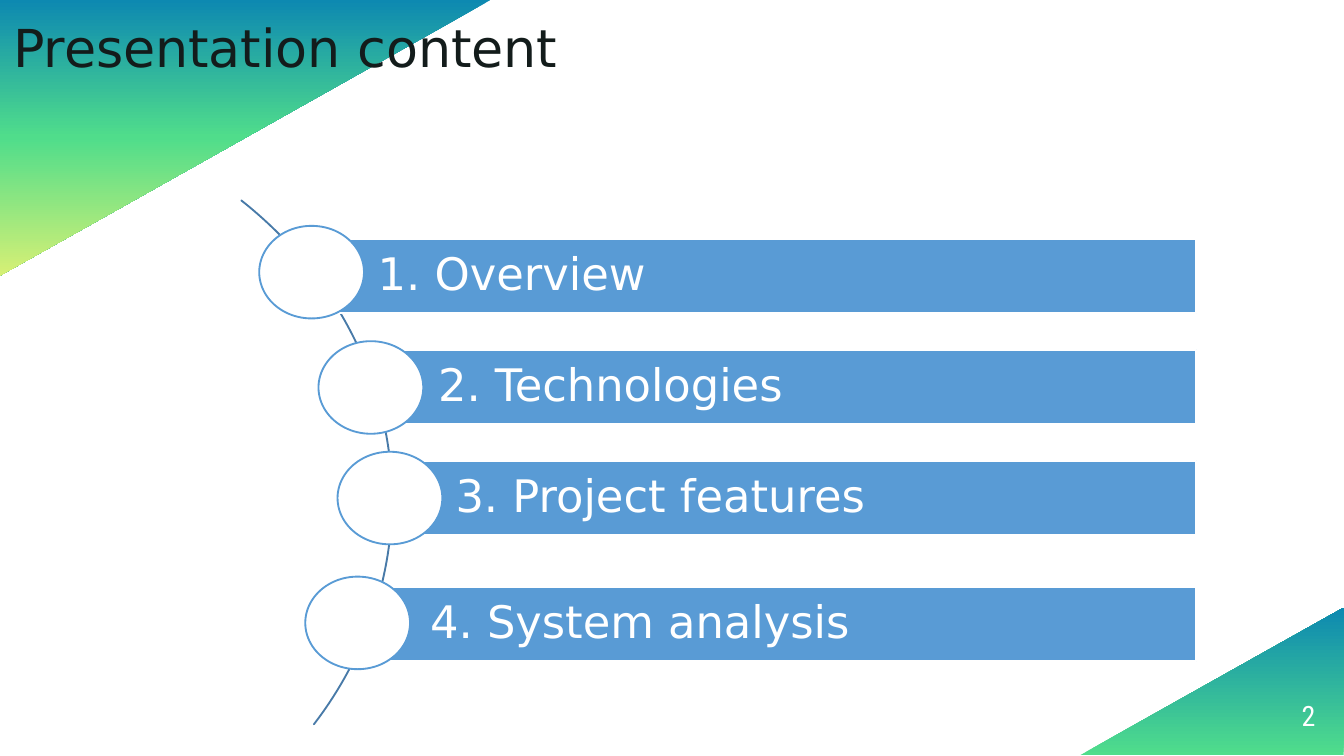
from copy import deepcopy

from pptx import Presentation
from pptx.dml.color import RGBColor
from pptx.enum.shapes import MSO_SHAPE as SHAPE
from pptx.enum.text import MSO_ANCHOR as ANCHOR, PP_ALIGN as ALIGN
from pptx.util import Cm, Pt

WHITE, BAR, ARC, INK = "FFFFFF", "599BD5", "487AA8", "131C1B"
BLUE, GREEN, LIME = "0D89B1", "50DD8B", "D6F075"


def rgb(value):
    return RGBColor.from_string(value)


def write(sp, text, size=24, font="DejaVu Sans", color=WHITE,
          align=ALIGN.LEFT, spacing=0.9, insets=(0, 0, 0, 0)):
    tf = sp.text_frame
    tf.word_wrap = True
    tf.vertical_anchor = ANCHOR.MIDDLE
    tf.margin_left, tf.margin_top, tf.margin_right, tf.margin_bottom = map(Cm, insets)
    p = tf.paragraphs[0]
    p.alignment = align
    p.line_spacing = spacing
    r = p.add_run()
    r.text = text
    r.font.size = Pt(size)
    r.font.name = font
    r.font.color.rgb = rgb(color)


class Deck:
    """Holds the presentation, its style and the current slide."""

    line_width = Pt(1)

    def __init__(self, width, height):
        self.prs = Presentation()
        self.prs.slide_width, self.prs.slide_height = Cm(width), Cm(height)
        self.s = self.prs.slides.add_slide(self.prs.slide_layouts[6])

    def shape(self, kind, box, fill=None, line=None):
        sp = self.s.shapes.add_shape(kind, *map(Cm, box))
        sp.shadow.inherit = False
        if fill:
            sp.fill.solid()
            sp.fill.fore_color.rgb = rgb(fill)
        else:
            sp.fill.background()
        if line:
            sp.line.color.rgb = rgb(line)
            sp.line.width = self.line_width
        else:
            sp.line.fill.background()
        return sp

    def corner(self, box, rotation, colors):
        """Right triangle with evenly spaced gradient stops."""
        sp = self.shape(SHAPE.RIGHT_TRIANGLE, box)
        sp.rotation = rotation
        sp.fill.gradient()
        sp.fill.gradient_angle = 0
        stops = sp.fill.gradient_stops
        stop_list = sp.fill._fill._gradFill.gsLst
        for _ in colors[len(stops):]:
            stop_list.append(deepcopy(stop_list[-1]))
        for i, (stop, color) in enumerate(zip(sp.fill.gradient_stops, colors)):
            stop.color.rgb = rgb(color)
            stop.position = i / (len(colors) - 1)

    def arc(self, box, adjustments):
        sp = self.shape(SHAPE.BLOCK_ARC, box, line=ARC)
        for i, value in enumerate(adjustments):
            sp.adjustments[i] = value

    def text(self, box, text, **fmt):
        write(self.s.shapes.add_textbox(*map(Cm, box)), text, **fmt)

    def item(self, text, bar, circle, indent=1.27):
        """Bar from its left edge to the shared right edge, with a circle on it."""
        left, top = bar
        sp = self.shape(SHAPE.RECTANGLE, (left, top, 22.61 - left, 1.4), BAR, WHITE)
        write(sp, text, insets=(indent, 0.18, 0.18, 0.18))
        self.shape(SHAPE.OVAL, (*circle, 1.98, 1.75), WHITE, BAR)


def main():
    deck = Deck(25.4, 14.29)

    # Corner decoration and slide number
    deck.corner((2.03, -2.03, 5.21, 9.27), 90, (BLUE, GREEN, LIME))
    deck.corner((21.51, 10.39, 2.79, 4.98), 270, (GREEN, BLUE))
    deck.text((23.34, 12.98, 1.52, 1.09), "2", size=15, font="Roboto Condensed",
              align=ALIGN.RIGHT, spacing=1.0)

    # Contents along the arc
    deck.arc((-9.58, 1.88, 16.99, 15.11), (189, 18.747, 0))
    deck.item("1. Overview", (5.87, 4.52), (4.9, 4.27))
    deck.item("2. Technologies", (7.01, 6.61), (6.02, 6.45))
    deck.item("3. Project features", (7.34, 8.71), (6.38, 8.54))
    deck.item("4. System analysis", (7.01, 11.1), (5.77, 10.9), indent=1.12)

    # Title
    deck.text((0, 0.15, 11.73, 1.63), "Presentation content", size=28, color=INK,
              insets=(0.25, 0.13, 0.25, 0.13))

    deck.prs.save("out.pptx")


if __name__ == "__main__":
    main()
